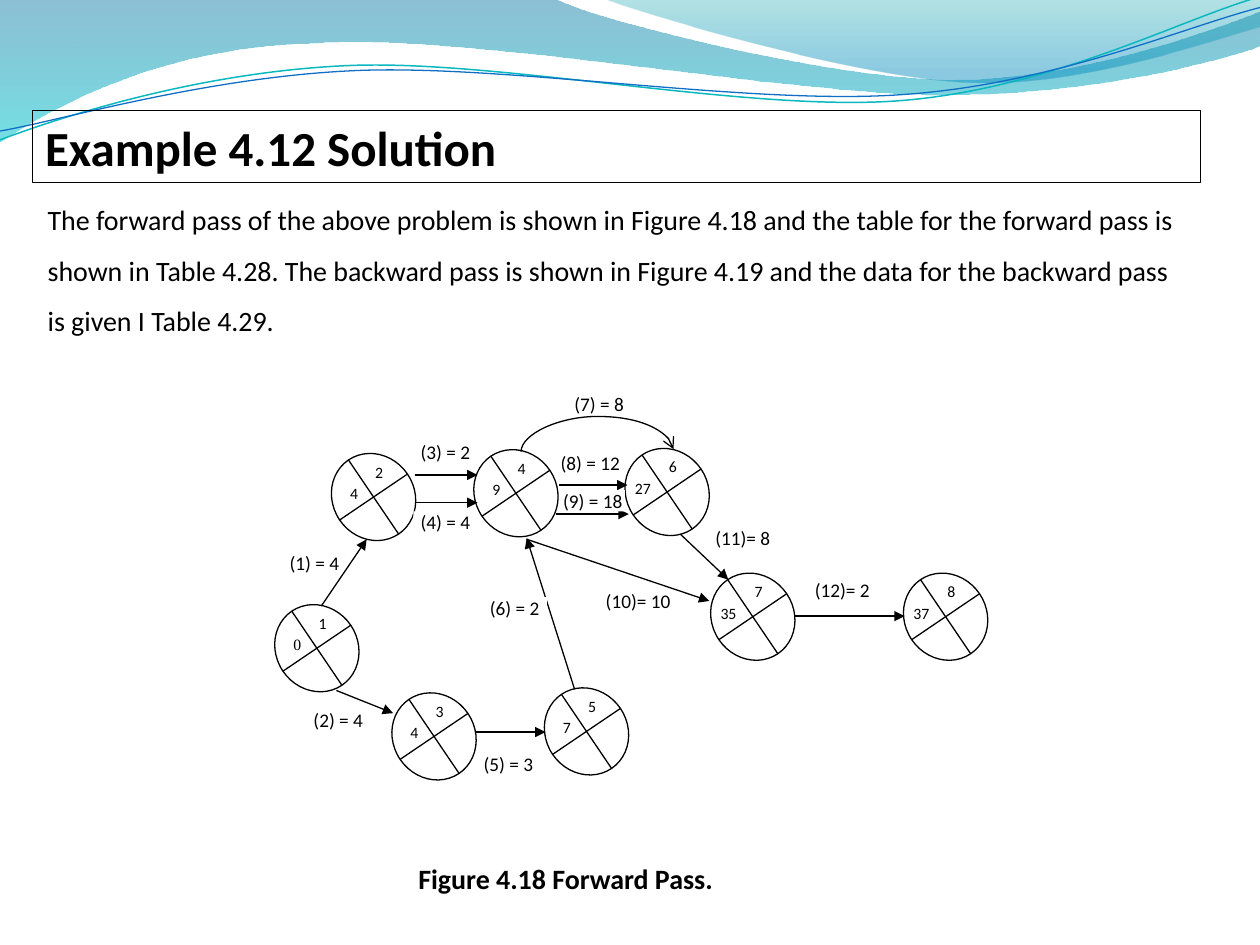
"""Build the forward pass network slide of Example 4.12."""
import math
import lxml.etree
import pptx
import pptx.dml.color
import pptx.enum.shapes
import pptx.enum.text
import pptx.oxml.ns
import pptx.util

Inches = pptx.util.Inches
Pt = pptx.util.Pt
qn = pptx.oxml.ns.qn
SHAPE = pptx.enum.shapes.MSO_SHAPE
LINK = pptx.enum.shapes.MSO_CONNECTOR
ALIGN = pptx.enum.text.PP_ALIGN
ANCHOR = pptx.enum.text.MSO_ANCHOR
AUTO = pptx.enum.text.MSO_AUTO_SIZE


def paint(sp, fill=None, line=None, width=0.75):
    sp.shadow.inherit = False
    if fill:
        sp.fill.solid()
        sp.fill.fore_color.rgb = pptx.dml.color.RGBColor.from_string(fill)
    else:
        sp.fill.background()
    if line:
        sp.line.color.rgb = pptx.dml.color.RGBColor.from_string(line)
        sp.line.width = Pt(width)
    else:
        sp.line.fill.background()


def write(sp, text, size, after=None, align=ALIGN.LEFT, anchor=ANCHOR.TOP, bold=False, font="Calibri"):
    tf = sp.text_frame
    tf.word_wrap = True
    tf.vertical_anchor = anchor
    p = tf.paragraphs[0]
    p.text = text
    p.alignment = align
    if after:
        p.space_after = Pt(after)
    p.font.size = Pt(size)
    p.font.name = font
    p.font.bold = bold
    p.font.color.rgb = pptx.dml.color.RGBColor.from_string("000000")
    return tf


prs = pptx.Presentation()
prs.slide_width, prs.slide_height = Inches(10), Inches(7.5)
s = prs.slides.add_slide(prs.slide_layouts[6])

waves = [
    ([(0, 0), (4.4, -0.01), (4.76, 0.17, 6.64, 0.63, 7.58, 0.63), (8.53, 0.63, 9.58, 0.26, 10, 0.09),
      (10.01, 0.36), (9.83, 0.44, 8.7, 0.76, 7.46, 0.75), (6.22, 0.75, 3.82, 0.28, 2.57, 0.34),
      (1.29, 0.36, 0.46, 0.83, -0.01, 1.13), (0, 0)],
     [(0, "0074A1", 45), (1, "00C6CF", 55)], None, 0, 0),
    ([(4.79, -0.01), (5.09, 0.11, 6.82, 0.62, 7.69, 0.65), (8.56, 0.69, 9.61, 0.32, 10, 0.21), (10, 0),
      (4.79, -0.01)],
     [(0, "00A1A9", 30), (0.8, "008BBF", 45)], None, 0, 0),
    ([(0, 1.11), (0.48, 0.93, 1.58, 0.57, 2.77, 0.52), (3.95, 0.47, 5.93, 0.89, 7.13, 0.8),
      (8.33, 0.71, 9.38, 0.15, 9.98, -0.02)], None, "0AB8BF", 0.85, -2.7),
    ([(0, 1.04), (0.47, 0.96, 1.64, 0.61, 2.83, 0.56), (4.03, 0.51, 5.97, 0.84, 7.17, 0.75),
      (8.36, 0.67, 9.41, 0.21, 10, 0.06)], None, "0F6FC6", 0.75, -2.7),
]
strands = None
for segments, stops, line, width, tilt in waves:
    if tilt and not strands:
        strands = s.shapes.add_group_shape()
    shapes = strands.shapes if tilt else s.shapes
    cos, sin = math.cos(math.radians(-tilt)), math.sin(math.radians(-tilt))
    points = []
    for seg in segments:
        for x, y in zip(seg[::2], seg[1::2]):
            dx, dy = x - 4.99, y - 0.57
            points.append((Inches(4.99 + dx * cos - dy * sin), Inches(0.57 + dx * sin + dy * cos)))
    builder = shapes.build_freeform(*points[0], scale=1.0)
    builder.add_line_segments(points[1:], close=bool(stops))
    sp = builder.convert_to_shape()
    sp.rotation = tilt
    paint(sp, line=line, width=width)
    steps = list(sp._element.spPr.iter(qn("a:lnTo")))
    for seg in segments[1:]:
        step, steps = steps[:len(seg) // 2], steps[len(seg) // 2:]
        if len(step) == 3:
            step[0].addprevious(curve := lxml.etree.Element(qn("a:cubicBezTo")))
            for corner in step:
                curve.append(corner[0])
                corner.getparent().remove(corner)
    if stops:
        sp.fill.gradient()
        sp.fill.gradient_angle = 270
        for stop, (position, color, opacity) in zip(sp.fill.gradient_stops, stops):
            stop.position = position
            stop.color.rgb = pptx.dml.color.RGBColor.from_string(color)
        for clr, (position, color, opacity) in zip(sp._element.spPr.iter(qn("a:srgbClr")), stops):
            lxml.etree.SubElement(clr, qn("a:alpha"), val=str(opacity * 1000))

sp = s.shapes.add_shape(SHAPE.RECTANGLE, Inches(0.26), Inches(0.88), Inches(9.27), Inches(0.57))
paint(sp, line="000000")
write(sp, "Example 4.12 Solution", 28, bold=True).auto_size = AUTO.SHAPE_TO_FIT_TEXT

sp = s.shapes.add_textbox(Inches(0.28), Inches(1.44), Inches(9.27), Inches(1.27))
tf = write(sp, "The forward pass of the above problem is shown in Figure 4.18 and the table for the forward "
           "pass is shown in Table 4.28. The backward pass is shown in Figure 4.19 and the data for the "
           "backward pass is given I Table 4.29.", 16, anchor=ANCHOR.MIDDLE)
tf.paragraphs[0].line_spacing = 1.5
tf.auto_size = AUTO.SHAPE_TO_FIT_TEXT

network = [
    ("label", "(10)= 10", 4.73, 4.68), ("label", "(5) = 3", 3.78, 5.98),
    ("node", "1", "0", 2.19, 4.79), ("node", "3", "4", 3.12, 5.49), ("node", "5", "7", 4.33, 5.45),
    ("arrow", 2.67, 5.48, 3.12, 5.66), ("arrow", 3.77, 5.81, 4.33, 5.81), ("arrow", 6.3, 4.89, 7.18, 4.89),
    ("label", "(2) = 4", 2.43, 5.63), ("label", "(12)= 2", 6.43, 4.6),
    ("node", "7", "35", 5.65, 4.54), ("node", "8", "37", 7.18, 4.54),
    ("label", "(11)= 8", 5.64, 4.18), ("label", "(1) = 4", 2.24, 4.38), ("label", "(3) = 2", 3.28, 3.5),
    ("node", "2", "4", 2.64, 3.59), ("node", "6", "27", 4.97, 3.55), ("node", "4", "9", 3.77, 3.56),
    ("arrow", 5.4, 4.24, 5.78, 4.6), ("arrow", 3.29, 3.77, 3.79, 3.77), ("arrow", 4.44, 3.85, 4.98, 3.85),
    ("arrow", 2.55, 4.81, 2.91, 4.28), ("label", "(4) = 4", 3.28, 4.06), ("arrow", 3.29, 3.99, 3.79, 3.99),
    ("label", "(8) = 12", 4.43, 3.59), ("arrow", 4.41, 4.08, 4.99, 4.08), ("label", "(9) = 18", 4.45, 3.89),
    ("arrow", 4.56, 5.47, 4.18, 4.27), ("label", "(6) = 2", 3.83, 4.74), ("arrow", 4.18, 4.28, 5.63, 4.77),
    ("curve", 4.75, 4.18, 4.73, 2.97), ("label", "(7) = 8", 4.5, 3.12),
]
for kind, *values in network:
    if kind == "node":
        number, time, x, y = values
        group = s.shapes.add_group_shape()
        sp = group.shapes.add_shape(SHAPE.FLOWCHART_OR, Inches(x), Inches(y), Inches(0.65), Inches(0.71))
        sp.rotation = 325.9
        paint(sp, "FFFFFF", "000000")
        sp = group.shapes.add_textbox(Inches(x + 0.24), Inches(y + 0.03), Inches(0.24), Inches(0.23))
        write(sp, number, 9, after=10)
        dx, width = (0.04, 0.24) if len(time) == 1 else (-0.03, 0.35)
        shapes = s.shapes if number == "6" else group.shapes
        sp = shapes.add_textbox(Inches(x + dx), Inches(y + 0.2), Inches(width), Inches(0.23))
        write(sp, time, 9, after=10, font="Times New Roman" if time == "0" else "Calibri")
    elif kind == "label":
        text, x, y = values
        width = 0.67 if text == "(10)= 10" else 0.51
        sp = s.shapes.add_shape(SHAPE.RECTANGLE, Inches(x), Inches(y), Inches(width), Inches(0.17))
        paint(sp, "FFFFFF")
        tf = write(sp, text, 11, after=10, align=ALIGN.CENTER, anchor=ANCHOR.MIDDLE)
        tf.margin_left = tf.margin_right = tf.margin_top = tf.margin_bottom = 0
    else:
        curved = kind == "curve"
        cxn = s.shapes.add_connector(LINK.CURVE if curved else LINK.STRAIGHT, *[Inches(v) for v in values])
        cxn.line.color.rgb = pptx.dml.color.RGBColor.from_string("000000")
        cxn.line.width = Pt(0.75)
        spPr = cxn._element.spPr
        lxml.etree.SubElement(spPr.find(qn("a:ln")), qn("a:tailEnd"), type="arrow" if curved else "triangle")
        lxml.etree.SubElement(spPr, qn("a:effectLst"))
        if curved:
            spPr.find(qn("a:xfrm")).set("rot", "5400000")
            guides = spPr.find(qn("a:prstGeom")).find(qn("a:avLst"))
            lxml.etree.SubElement(guides, qn("a:gd"), name="adj1", fmla="val 1393200")

sp = s.shapes.add_textbox(Inches(2.04), Inches(6.79), Inches(4.9), Inches(0.37))
tf = write(sp, "Figure 4.18 Forward Pass.", 16, align=ALIGN.CENTER, bold=True)
tf.auto_size = AUTO.SHAPE_TO_FIT_TEXT

prs.save("out.pptx")
